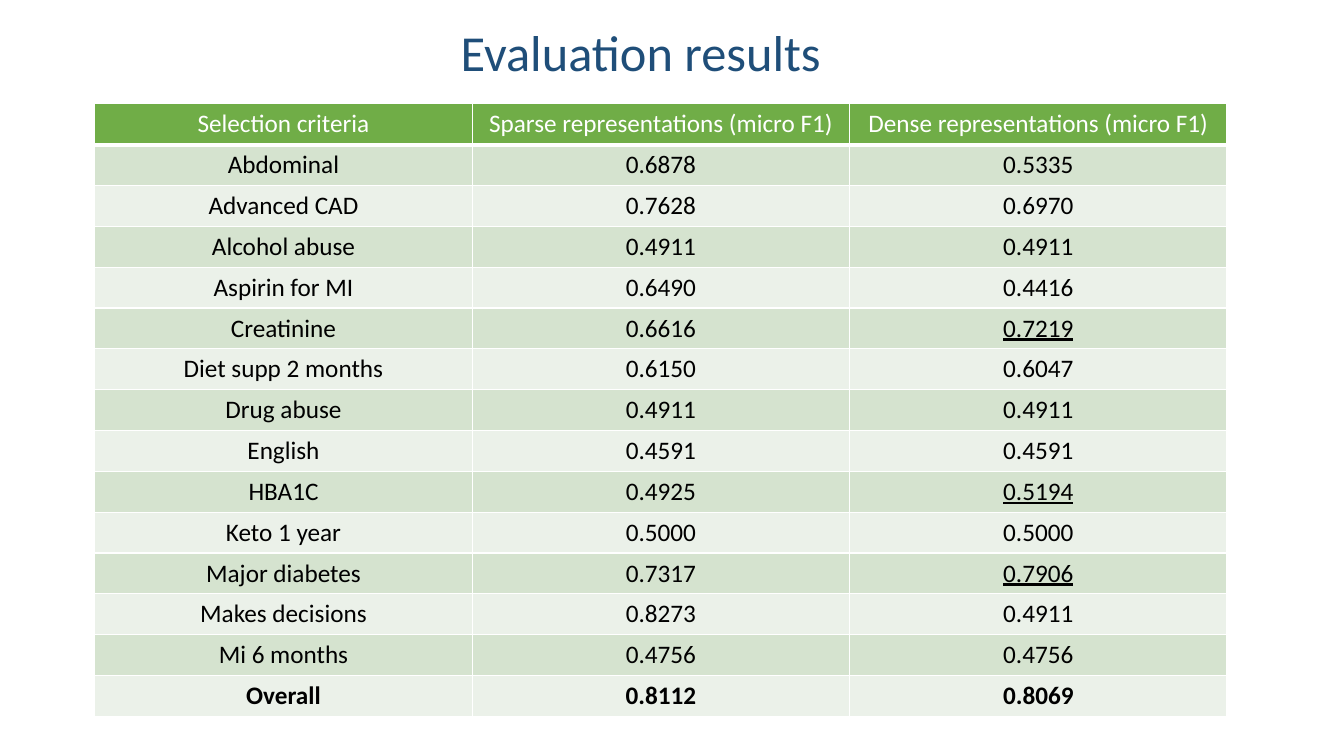
import dataclasses

import lxml.etree
import pptx
import pptx.dml.color
import pptx.enum.text
import pptx.oxml.ns
import pptx.util

Inches = pptx.util.Inches
ALIGN = pptx.enum.text.PP_ALIGN
MIDDLE = pptx.enum.text.MSO_ANCHOR.MIDDLE

SCORES = [
    ("Abdominal", "0.6878", "0.5335"),
    ("Advanced CAD", "0.7628", "0.6970"),
    ("Alcohol abuse", "0.4911", "0.4911"),
    ("Aspirin for MI", "0.6490", "0.4416"),
    ("Creatinine", "0.6616", "0.7219"),
    ("Diet supp 2 months", "0.6150", "0.6047"),
    ("Drug abuse", "0.4911", "0.4911"),
    ("English", "0.4591", "0.4591"),
    ("HBA1C", "0.4925", "0.5194"),
    ("Keto 1 year", "0.5000", "0.5000"),
    ("Major diabetes", "0.7317", "0.7906"),
    ("Makes decisions", "0.8273", "0.4911"),
    ("Mi 6 months", "0.4756", "0.4756"),
    ("Overall", "0.8112", "0.8069"),
]
HEADS = (
    "Selection criteria",
    "Sparse representations (micro F1)",
    "Dense representations (micro F1)",
)


@dataclasses.dataclass(frozen=True)
class Theme:
    font: str = "Calibri"
    title: str = "1F4E79"
    head: str = "70AD47"
    bands: tuple = ("D5E3CF", "EBF1E9")
    ink: str = "000000"
    white: str = "FFFFFF"
    title_size: int = 36
    cell_size: int = 18
    thin: int = 1
    thick: int = 3


def color(code):
    return pptx.dml.color.RGBColor.from_string(code)


def write(frame, text, *, font, size, ink, align=ALIGN.LEFT,
          bold=False, under=False, spacing=1.0):
    par = frame.paragraphs[0]
    par.alignment = align
    par.line_spacing = spacing
    run = par.add_run()
    run.text = text
    run.font.name = font
    run.font.size = pptx.util.Pt(size)
    run.font.color.rgb = color(ink)
    run.font.bold = bold
    run.font.underline = under


def edge(cell, ink, widths):
    """Draw cell borders; widths maps a side (L, R, T, B) to points."""
    props = cell._tc.get_or_add_tcPr()
    qn = pptx.oxml.ns.qn
    for place, side in enumerate("LRTB"):
        line = lxml.etree.Element(qn("a:ln" + side), w=str(pptx.util.Pt(widths[side])))
        fill = lxml.etree.SubElement(line, qn("a:solidFill"))
        lxml.etree.SubElement(fill, qn("a:srgbClr"), val=ink)
        props.insert(place, line)


class Painter:
    def __init__(self, slide, theme):
        self.slide = slide
        self.theme = theme

    def title(self, text, left, top, width, height):
        box = self.slide.shapes.add_textbox(
            Inches(left), Inches(top), Inches(width), Inches(height))
        frame = box.text_frame
        frame.word_wrap = True
        frame.vertical_anchor = MIDDLE
        write(frame, text, font=self.theme.font, size=self.theme.title_size,
              ink=self.theme.title, spacing=0.9)

    def cell(self, cell, text, fill, ink, top, bottom, **style):
        look = self.theme
        cell.fill.solid()
        cell.fill.fore_color.rgb = color(fill)
        edge(cell, look.white,
             {"L": look.thin, "R": look.thin, "T": top, "B": bottom})
        write(cell.text_frame, text, font=look.font, size=look.cell_size,
              ink=ink, align=ALIGN.CENTER, **style)

    def table(self, heads, scores, left, top, width, height):
        """Fill the grid; a dense score that beats the sparse one is underlined."""
        look = self.theme
        grid = self.slide.shapes.add_table(
            len(scores) + 1, len(heads),
            Inches(left), Inches(top), Inches(width), Inches(height)).table
        grid.first_row = True
        grid.horz_banding = False
        for col, text in enumerate(heads):
            self.cell(grid.cell(0, col), text, look.head, look.white,
                      look.thin, look.thick)
        for row, values in enumerate(scores, 1):
            better = float(values[2]) > float(values[1])
            for col, text in enumerate(values):
                self.cell(grid.cell(row, col), text,
                          look.bands[(row - 1) % 2], look.ink,
                          look.thick if row == 1 else look.thin, look.thin,
                          bold=row == len(scores), under=better and col == 2)


def main():
    deck = pptx.Presentation()
    deck.slide_width = Inches(13.33)
    deck.slide_height = Inches(7.5)
    slide = deck.slides.add_slide(deck.slide_layouts[6])
    paint = Painter(slide, Theme())
    paint.title("Evaluation results", 4.47, -0.18, 4.88, 1.45)
    paint.table(HEADS, SCORES, 0.94, 1.03, 11.23, 6.08)
    deck.save("out.pptx")


if __name__ == "__main__":
    main()
